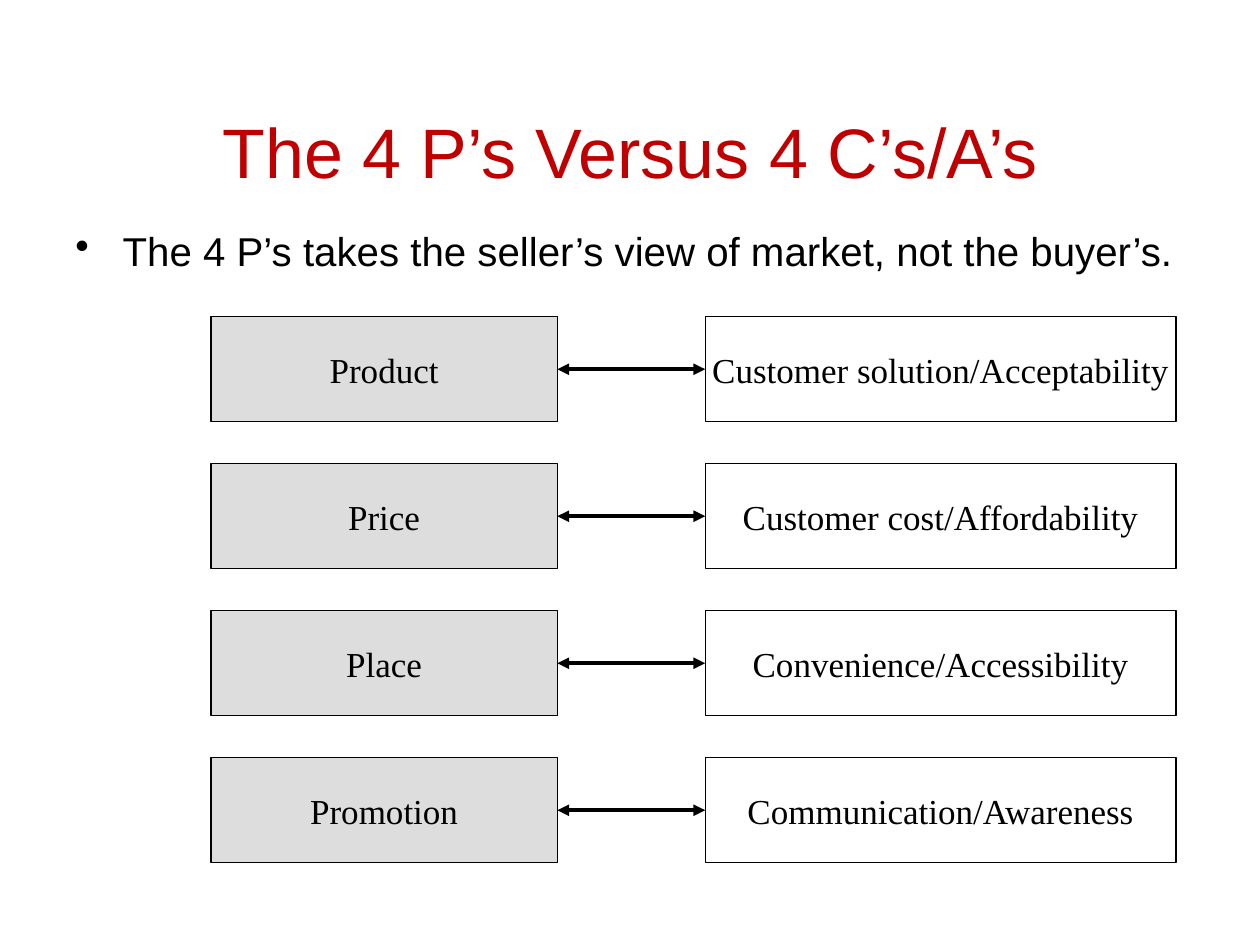
import pptx
import pptx.util
import pptx.dml.color
import pptx.enum.shapes
import pptx.enum.text
import lxml.etree

Pt = pptx.util.Pt
align = pptx.enum.text.PP_ALIGN
anchor = pptx.enum.text.MSO_ANCHOR
kinds = pptx.enum.shapes


def color(text):
    return pptx.dml.color.RGBColor.from_string(text)


def write(shape, text, font, size, tint, side, mid, wrap):
    frame = shape.text_frame
    frame.word_wrap = wrap
    frame.vertical_anchor = mid
    para = frame.paragraphs[0]
    para.text = text
    para.alignment = side
    para.font.name = font
    para.font.size = Pt(size)
    para.font.color.rgb = color(tint)
    return para


deck = pptx.Presentation()
deck.slide_width = Pt(720)
deck.slide_height = Pt(540)
slide = deck.slides.add_slide(deck.slide_layouts[6])
shapes = slide.shapes

title = shapes.add_textbox(Pt(36), Pt(60.5), Pt(648), Pt(51))
write(title, "The 4 P’s Versus 4 C’s/A’s", "Arial", 40, "C00000", align.CENTER, anchor.MIDDLE, True)

body = shapes.add_textbox(Pt(36), Pt(126), Pt(648), Pt(370))
point = write(body, "The 4 P’s takes the seller’s view of market, not the buyer’s.",
              "Arial", 23, "000000", align.LEFT, anchor.TOP, True)
point.space_before = Pt(4.6)
props = point._p.get_or_add_pPr()
props.set("marL", str(Pt(27)))
props.set("indent", str(Pt(-27)))
bullet = pptx.oxml.ns.qn("a:buChar")
props.insert_element_before(props.makeelement(bullet, {"char": "•"}), "a:tabLst", "a:defRPr")

pairs = [
    ("Product", "Customer solution/Acceptability"),
    ("Price", "Customer cost/Affordability"),
    ("Place", "Convenience/Accessibility"),
    ("Promotion", "Communication/Awareness"),
]
cols = [(120.5, 198, "DDDDDD"), (403, 269, "FFFFFF")]
high = 60
step = 84
start = cols[0][0] + cols[0][1]
end = cols[1][0]

for row, pair in enumerate(pairs):
    top = 181 + row * step
    for label, (left, wide, fill) in zip(pair, cols):
        box = shapes.add_shape(kinds.MSO_SHAPE.RECTANGLE, Pt(left), Pt(top), Pt(wide), Pt(high))
        box.shadow.inherit = False
        box.fill.solid()
        box.fill.fore_color.rgb = color(fill)
        box.line.color.rgb = color("000000")
        box.line.width = Pt(0.75)
        write(box, label, "Times New Roman", 20, "000000", align.CENTER, anchor.MIDDLE, False)

    mid = top + high / 2
    arrow = shapes.add_connector(kinds.MSO_CONNECTOR.STRAIGHT, Pt(start), Pt(mid), Pt(end), Pt(mid))
    arrow.line.color.rgb = color("000000")
    arrow.line.width = Pt(2.25)
    stroke = arrow.line._get_or_add_ln()
    for tip in ("a:headEnd", "a:tailEnd"):
        lxml.etree.SubElement(stroke, pptx.oxml.ns.qn(tip), type="triangle")
    lxml.etree.SubElement(arrow._element.spPr, pptx.oxml.ns.qn("a:effectLst"))

deck.save("out.pptx")
